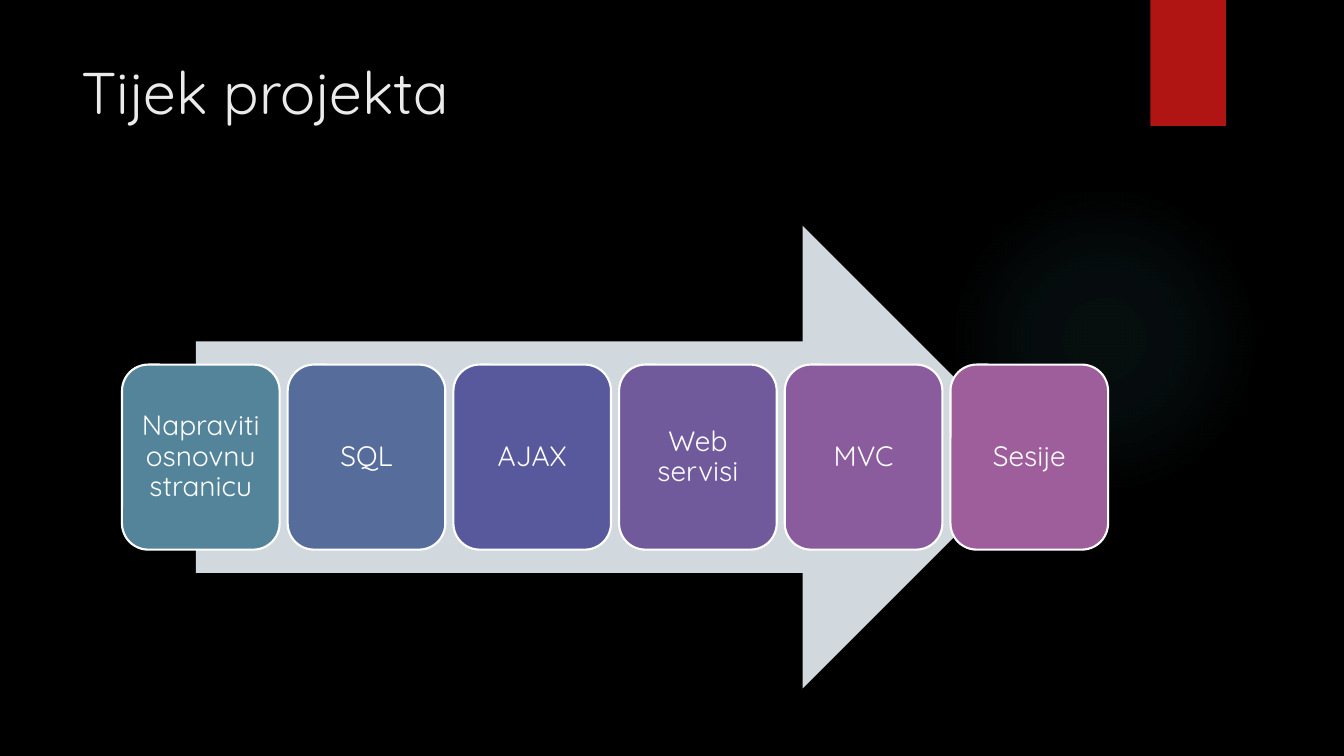
from lxml import etree
from pptx import Presentation
from pptx.dml.color import RGBColor
from pptx.enum import shapes, text
from pptx.oxml import ns
from pptx.util import Inches, Pt

FONT = "Quicksand"
STEPS = [
    ("Napraviti osnovnu stranicu", "54849A"),
    ("SQL", "566D9B"),
    ("AJAX", "58589C"),
    ("Web servisi", "715A9C"),
    ("MVC", "8A5C9D"),
    ("Sesije", "9E5E9B"),
]


def color(hex_value):
    return RGBColor.from_string(hex_value)


def add_filled(slide, kind, box, fill):
    """Add a flat preset shape without outline; box is in inches."""
    shape = slide.shapes.add_shape(kind, *map(Inches, box))
    shape.shadow.inherit = False
    shape.fill.solid()
    shape.fill.fore_color.rgb = color(fill)
    shape.line.fill.background()
    return shape


def style_font(paragraph, size, hex_value):
    paragraph.font.name = FONT
    paragraph.font.size = Pt(size)
    paragraph.font.color.rgb = color(hex_value)


def add_glow(slide, box, hex_value, stops):
    """Add a circle that fades outwards; stops are (position, opacity) in percent."""
    glow = add_filled(slide, shapes.MSO_SHAPE.OVAL, box, hex_value)
    solid = glow.fill._xPr.find(ns.qn("a:solidFill"))
    gradient = etree.Element(ns.qn("a:gradFill"))
    stop_list = etree.SubElement(gradient, ns.qn("a:gsLst"))
    for position, opacity in stops:
        stop = etree.SubElement(stop_list, ns.qn("a:gs"), pos=str(position * 1000))
        tint = etree.SubElement(stop, ns.qn("a:srgbClr"), val=hex_value)
        etree.SubElement(tint, ns.qn("a:alpha"), val=str(opacity * 1000))
    circle = etree.SubElement(gradient, ns.qn("a:path"), path="circle")
    center = dict.fromkeys("ltrb", "50000")
    etree.SubElement(circle, ns.qn("a:fillToRect"), **center)
    solid.getparent().replace(solid, gradient)


def add_backdrop(slide):
    slide.background.fill.solid()
    slide.background.fill.fore_color.rgb = color("000000")
    add_glow(slide, (9.41, 1.83, 3.08, 3.08), "50B9C1", [(0, 7), (36, 6), (69, 0)])
    add_filled(slide, shapes.MSO_SHAPE.RECTANGLE, (11.41, 0, 0.75, 1.25), "B01513")


def add_title(slide, box, title):
    frame = slide.shapes.add_textbox(*map(Inches, box)).text_frame
    frame.word_wrap = True
    paragraph = frame.paragraphs[0]
    paragraph.text = title
    style_font(paragraph, 42, "EBEBEB")


def add_step(slide, box, label, fill):
    step = add_filled(slide, shapes.MSO_SHAPE.ROUNDED_RECTANGLE, box, fill)
    step.line.color.rgb = color("FFFFFF")
    step.line.width = Pt(1.5)
    frame = step.text_frame
    frame.word_wrap = True
    frame.vertical_anchor = text.MSO_ANCHOR.MIDDLE
    # The rounded corners already inset the text.
    frame.margin_left = frame.margin_right = 0
    frame.margin_top = frame.margin_bottom = 0
    paragraph = frame.paragraphs[0]
    paragraph.text = label
    paragraph.alignment = text.PP_ALIGN.CENTER
    paragraph.line_spacing = 0.9
    style_font(paragraph, 20, "FFFFFF")


def add_process(slide, box, steps):
    """Lay equal steps across the box, over an arrow of 85 % of its width."""
    left, top, width, height = box
    arrow_width = width * 0.85
    arrow_left = left + (width - arrow_width) / 2
    add_filled(slide, shapes.MSO_SHAPE.RIGHT_ARROW,
               (arrow_left, top, arrow_width, height), "D1D9DE")
    gap = 0.08
    step_width = (width - gap * (len(steps) - 1)) / len(steps)
    step_height = height * 0.4
    step_top = top + (height - step_height) / 2
    for index, (label, fill) in enumerate(steps):
        step_left = left + index * (step_width + gap)
        add_step(slide, (step_left, step_top, step_width, step_height), label, fill)


def main():
    presentation = Presentation()
    presentation.slide_width = Inches(13.33)
    presentation.slide_height = Inches(7.5)
    slide = presentation.slides.add_slide(presentation.slide_layouts[6])
    add_backdrop(slide)
    add_title(slide, (0.71, 0.5, 10.29, 1.53), "Tijek projekta")
    add_process(slide, (1.21, 2.24, 9.78, 4.59), STEPS)
    presentation.save("out.pptx")


if __name__ == "__main__":
    main()
